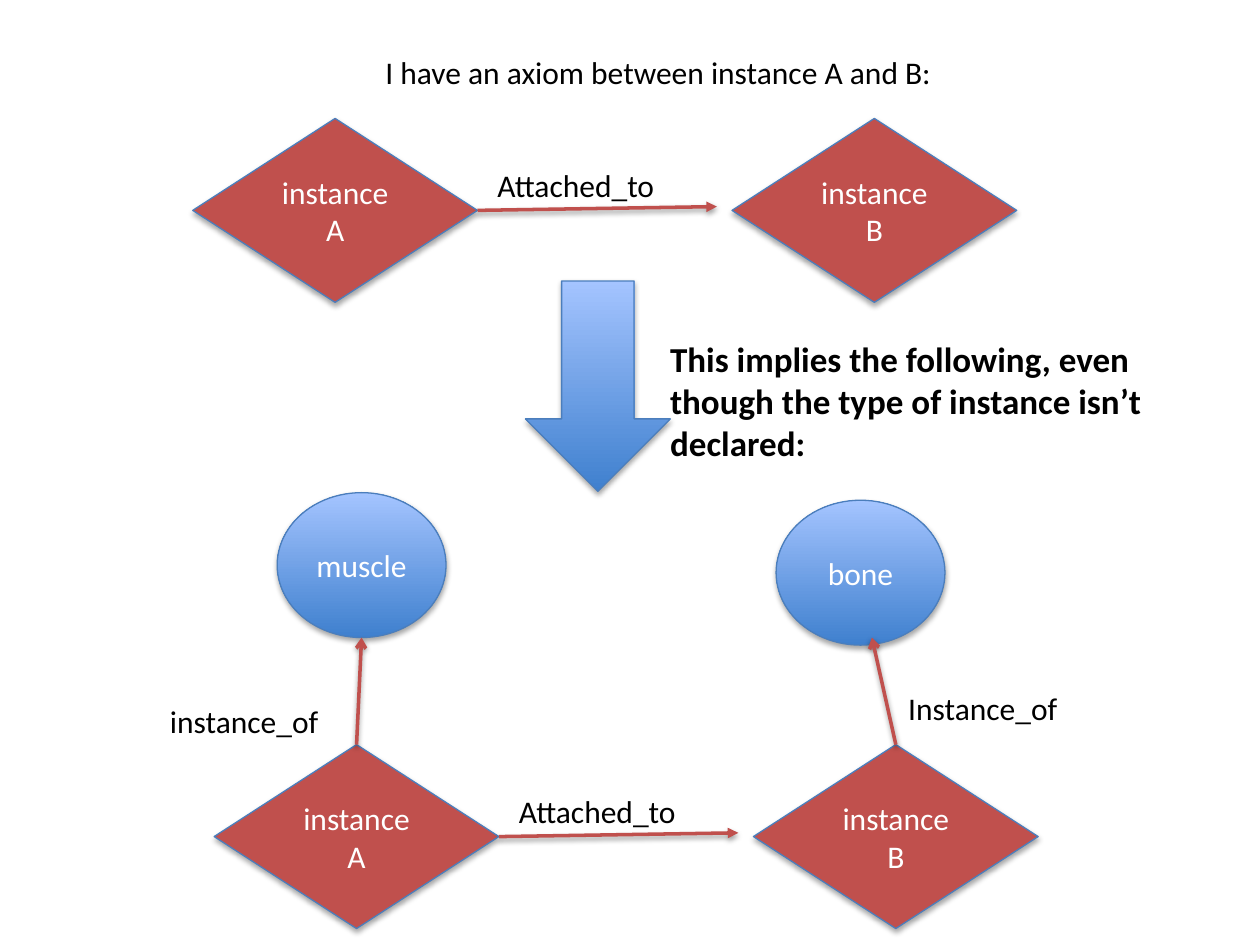
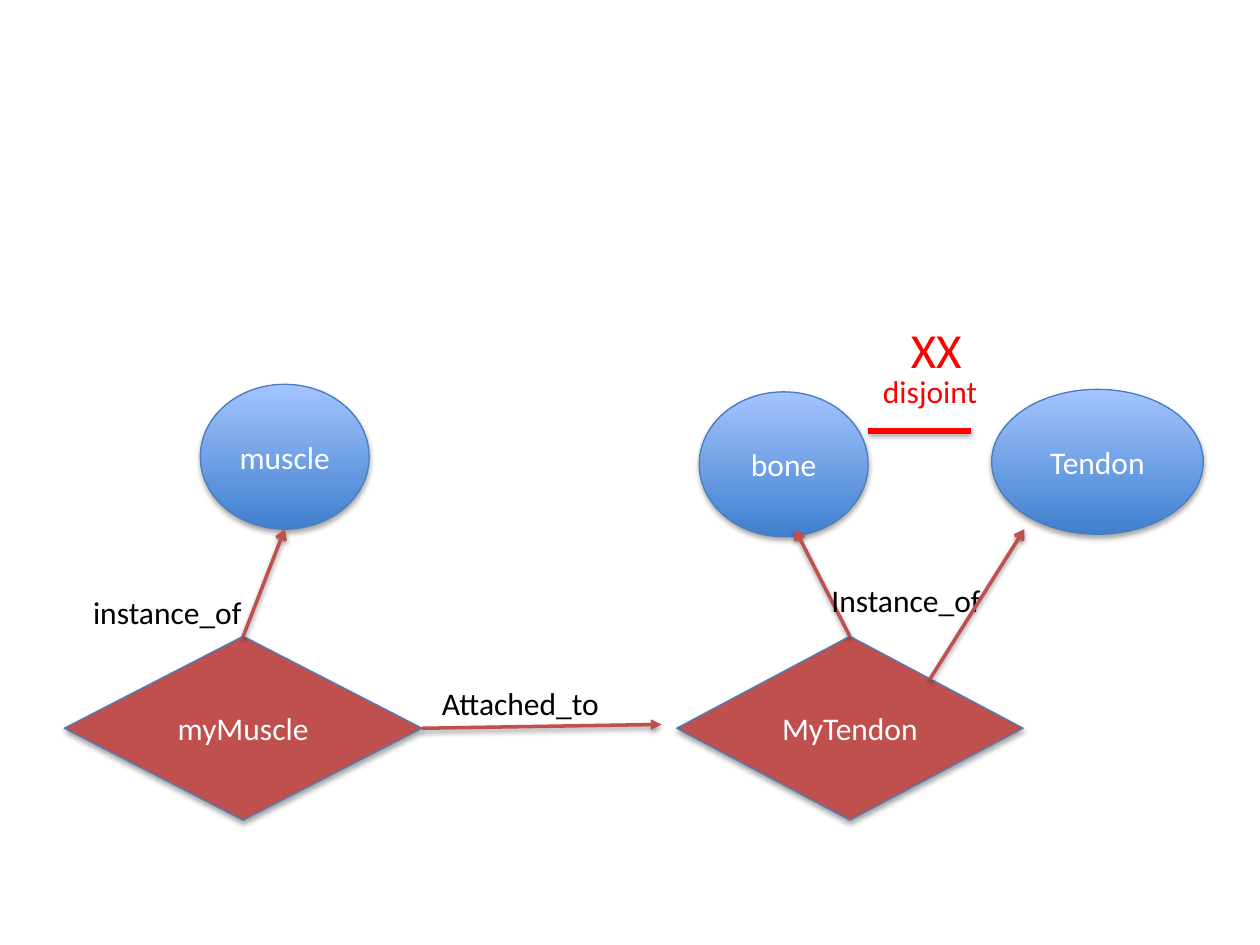
from dataclasses import dataclass

from lxml import etree
from pptx import Presentation
from pptx.dml.color import RGBColor
from pptx.enum.shapes import MSO_CONNECTOR, MSO_SHAPE
from pptx.enum.text import MSO_ANCHOR, MSO_AUTO_SIZE, PP_ALIGN
from pptx.oxml.ns import qn
from pptx.util import Inches, Pt

DIAMOND, OVAL, DOWN = MSO_SHAPE.DIAMOND, MSO_SHAPE.OVAL, MSO_SHAPE.DOWN_ARROW
STRAIGHT = MSO_CONNECTOR.STRAIGHT
CENTER, MIDDLE = PP_ALIGN.CENTER, MSO_ANCHOR.MIDDLE
GROW = MSO_AUTO_SIZE.SHAPE_TO_FIT_TEXT

FONT = "Calibri"
BRICK, EDGE, RED = "C0504D", "4B7EBC", "FF0000"
BLACK, WHITE = "000000", "FFFFFF"
BLEND = ("3F80CE", "A4C4FF")  # bottom to top
TOP, RIGHT = 0, 3

TALL = 1.46  # diamond height
GAP = 2.02  # between the diamonds of a pair
RISE = 2.0  # from diamond top up to the class ovals
REACH = 0.85  # height of an instance_of arrow
OVAL_W, OVAL_H = 1.34, 1.15


@dataclass
class Node:
    text: str
    wide: float


@dataclass
class Label:
    text: str
    left: float
    top: float
    wide: float
    high: float = 0.4
    size: int = 18
    color: str = BLACK
    bold: bool = False
    wrap: bool = False


def rgb(color: str) -> RGBColor:
    return RGBColor.from_string(color)


def shade(item, alpha: int, dist: float) -> None:
    """Give the item a soft shadow that falls straight down."""
    effects = etree.SubElement(item._element.spPr, qn("a:effectLst"))
    outer = etree.SubElement(
        effects, qn("a:outerShdw"), blurRad=str(Pt(3.1)), dist=str(Pt(dist)),
        dir="5400000", rotWithShape="0")
    tone = etree.SubElement(outer, qn("a:srgbClr"), val=BLACK)
    etree.SubElement(tone, qn("a:alpha"), val=str(alpha * 1000))


def write(frame, text: str, size: int, color: str, bold: bool = False):
    """Add one run and return its paragraph."""
    para = frame.paragraphs[0]
    run = para.add_run()
    run.text = text
    run.font.name, run.font.size, run.font.bold = FONT, Pt(size), bold
    run.font.color.rgb = rgb(color)
    return para


def draw(slide, kind, left: float, top: float, wide: float, high: float,
         text: str = ""):
    shape = slide.shapes.add_shape(
        kind, Inches(left), Inches(top), Inches(wide), Inches(high))
    if kind == DIAMOND:
        shape.fill.solid()
        shape.fill.fore_color.rgb = rgb(BRICK)
    else:
        shape.fill.gradient()
        shape.fill.gradient_angle = 90
        for stop, color in zip(shape.fill.gradient_stops, BLEND):
            stop.color.rgb = rgb(color)
    shape.line.color.rgb = rgb(EDGE)
    shape.line.width = Pt(0.75)
    shade(shape, 35, 1.8)
    if text:
        frame = shape.text_frame
        frame.word_wrap, frame.vertical_anchor = True, MIDDLE
        write(frame, text, 18, WHITE).alignment = CENTER
    return shape


def link(slide, start: tuple[float, float], end: tuple[float, float],
         head: str = "arrow", color: str = BRICK, width: int = 2):
    line = slide.shapes.add_connector(
        STRAIGHT, *(Inches(value) for value in start + end))
    line.line.color.rgb = rgb(color)
    line.line.width = Pt(width)
    if head:
        stroke = line._element.spPr.find(qn("a:ln"))
        etree.SubElement(stroke, qn("a:tailEnd"), type=head)
    shade(line, 38, 1.6)
    return line


def note(slide, label: Label) -> None:
    box = slide.shapes.add_textbox(
        Inches(label.left), Inches(label.top),
        Inches(label.wide), Inches(label.high))
    frame = box.text_frame
    frame.word_wrap, frame.auto_size = label.wrap, GROW
    write(frame, label.text, label.size, label.color, label.bold)


def pair(slide, left: float, top: float, first: Node, second: Node) -> list:
    """Draw two diamonds joined by Attached_to."""
    edge, mid = left + first.wide, top + TALL / 2
    gems = [draw(slide, DIAMOND, x, top, node.wide, TALL, node.text)
            for x, node in ((left, first), (edge + GAP, second))]
    line = link(slide, (edge, mid), (edge + 1.9, mid - 0.03), "triangle")
    line.begin_connect(gems[0], RIGHT)
    note(slide, Label("Attached_to", edge + 0.06, top + 0.33, 1.47))
    return gems


def classes(slide, left: float, top: float, gems: list) -> None:
    """Draw muscle and bone above the diamonds, with instance_of arrows."""
    bone = left + 3.96
    draw(slide, OVAL, left, top - RISE, OVAL_W, OVAL_H, "muscle")
    draw(slide, OVAL, bone, top - RISE + 0.06, OVAL_W, OVAL_H, "bone")
    for gem, tip in zip(gems, (left + 0.67, bone + 0.76)):
        mid = (gem.left + gem.width / 2) / Inches(1)
        line = link(slide, (mid, top), (tip, top - REACH))
        line.begin_connect(gem, TOP)
    note(slide, Label("Instance_of", bone + 0.95, top - 0.49, 1.41))
    note(slide, Label("instance_of", left - 0.95, top - 0.39, 1.41))


def axiom(slide) -> None:
    duo = Node("instanceA", 2.26), Node("instanceB", 2.26)
    pair(slide, 1.53, 0.94, *duo)
    draw(slide, DOWN, 4.17, 2.23, 1.15, 1.67)
    note(slide, Label(
        "This implies the following, even though the type of instance "
        "isn’t declared:", 5.22, 2.63, 3.97, 1.11, 20, bold=True, wrap=True))
    gems = pair(slide, 1.7, 5.91, *duo)
    classes(slide, 2.2, 5.91, gems)
    note(slide, Label(
        "I have an axiom between instance A and B:", 2.96, 0.37, 4.6))


def clash(slide) -> None:
    gems = pair(slide, 0.51, 5.05, Node("myMuscle", 2.84),
                Node("MyTendon", 2.75))
    classes(slide, 1.59, 5.05, gems)
    draw(slide, OVAL, 7.87, 3.09, 1.68, OVAL_H, "Tendon")
    link(slide, (7.38, 5.39), (8.13, 4.2))
    link(slide, (6.89, 3.42), (7.71, 3.42), "", RED, 3)
    note(slide, Label("disjoint", 6.91, 2.9, 0.96, color=RED))
    note(slide, Label("XX", 7.13, 2.49, 0.61, 0.57, 28, RED))


def main() -> None:
    deck = Presentation()
    deck.slide_width, deck.slide_height = Inches(10), Inches(7.5)
    blank = deck.slide_layouts[6]
    for build in (axiom, clash):
        build(deck.slides.add_slide(blank))
    deck.save("out.pptx")


if __name__ == "__main__":
    main()
